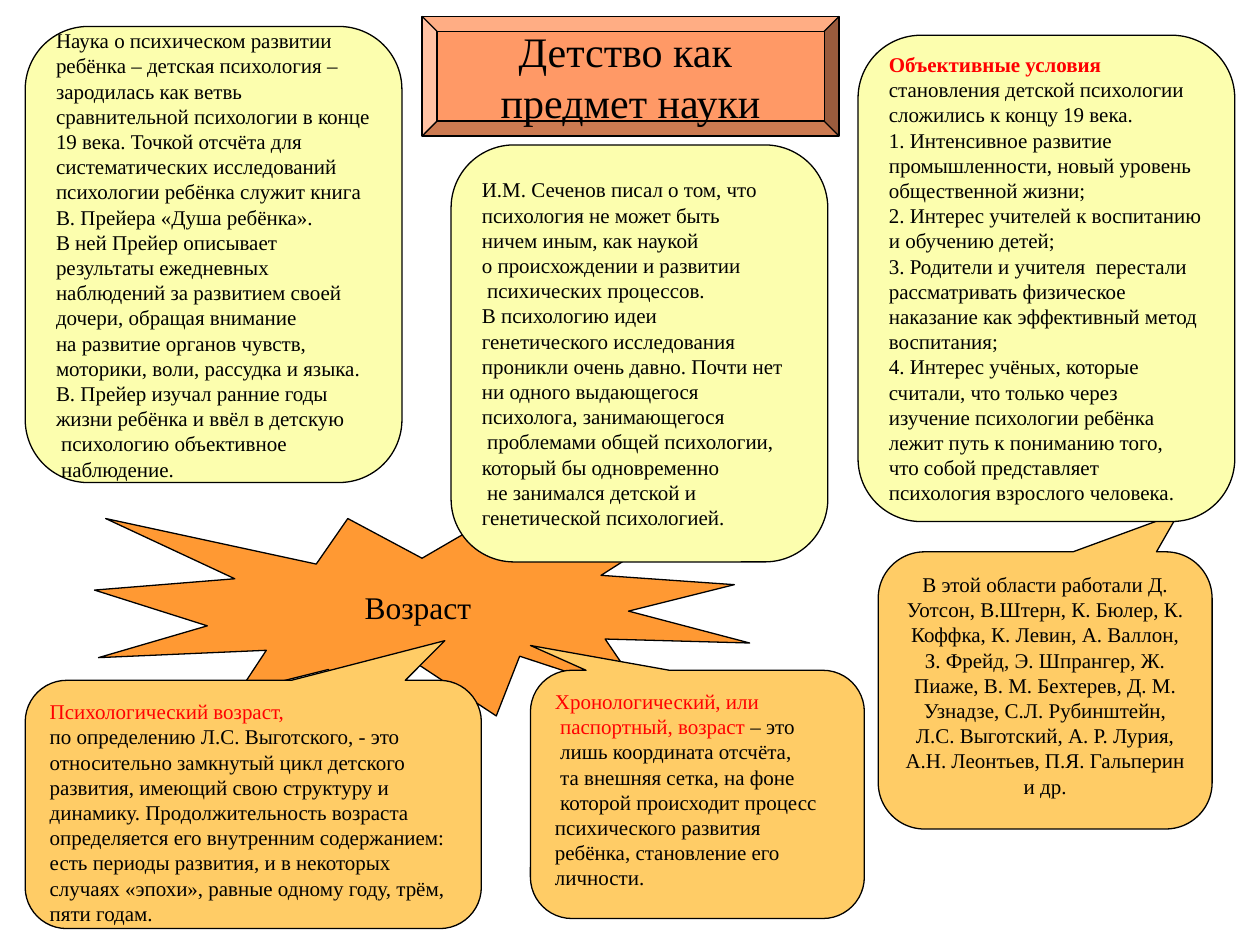
from pptx import Presentation
from pptx.dml.color import RGBColor
from pptx.enum.shapes import MSO_SHAPE as Shape
from pptx.enum.text import MSO_ANCHOR as Anchor, PP_ALIGN as Align
from pptx.util import Inches, Pt

FONT = "Times New Roman"
BLACK, RED = "000000", "FF0000"
YELLOW, AMBER, ORANGE, SALMON = "FCFEAE", "FFCC66", "FF9933", "FF9966"
CORNER = 0.167

SECHENOV = """И.М. Сеченов писал о том, что
психология не может быть
ничем иным, как наукой
о происхождении и развитии
 психических процессов.
В психологию идеи
генетического исследования
проникли очень давно. Почти нет
ни одного выдающегося
психолога, занимающегося
 проблемами общей психологии,
который бы одновременно
 не занимался детской и
генетической психологией."""

PREYER = """Наука о психическом развитии
ребёнка – детская психология –
зародилась как ветвь
сравнительной психологии в конце
19 века. Точкой отсчёта для
систематических исследований
психологии ребёнка служит книга
В. Прейера «Душа ребёнка».
В ней Прейер описывает
результаты ежедневных
наблюдений за развитием своей
дочери, обращая внимание
на развитие органов чувств,
моторики, воли, рассудка и языка.
В. Прейер изучал ранние годы
жизни ребёнка и ввёл в детскую
 психологию объективное
 наблюдение."""

CONDITIONS = """Объективные условия
становления детской психологии
сложились к концу 19 века.
1. Интенсивное развитие
промышленности, новый уровень
общественной жизни;
2. Интерес учителей к воспитанию
и обучению детей;
3. Родители и учителя  перестали
рассматривать физическое
наказание как эффективный метод
воспитания;
4. Интерес учёных, которые
считали, что только через
изучение психологии ребёнка
лежит путь к пониманию того,
что собой представляет
психология взрослого человека."""

SCHOLARS = (
    "В этой области работали Д. Уотсон, В.Штерн, К. Бюлер, К. Коффка, К. Левин, "
    "А. Валлон, З. Фрейд, Э. Шпрангер, Ж. Пиаже, В. М. Бехтерев, Д. М. Узнадзе, "
    "С.Л. Рубинштейн, Л.С. Выготский, А. Р. Лурия, А.Н. Леонтьев, П.Я. Гальперин и др."
)

CHRONOLOGICAL = """Хронологический, или
 паспортный, возраст – это
 лишь координата отсчёта,
 та внешняя сетка, на фоне
 которой происходит процесс
психического развития ребёнка, становление его личности."""

PSYCHOLOGICAL = (
    "Психологический возраст,\n"
    "по определению Л.С. Выготского, - это относительно замкнутый цикл детского развития, "
    "имеющий свою структуру и динамику. Продолжительность возраста определяется его "
    "внутренним содержанием: есть периоды развития, и в некоторых случаях «эпохи», "
    "равные одному году, трём, пяти годам."
)


def color(value):
    """Turn a hex string into a colour."""
    return RGBColor.from_string(value)


def add_box(slide, kind, box, fill, adjustments=()):
    """Add a filled, thinly outlined preset shape in the given box."""
    shape = slide.shapes.add_shape(kind, *map(Inches, box))
    for index, value in enumerate(adjustments):
        shape.adjustments[index] = value
    shape.shadow.inherit = False
    shape.fill.solid()
    shape.fill.fore_color.rgb = color(fill)
    shape.line.color.rgb = color(BLACK)
    shape.line.width = Pt(0.75)
    return shape


def write(shape, text, size=12, align=Align.LEFT, anchor=Anchor.MIDDLE, wrap=False,
          red=(), bold=False):
    """Write one paragraph per line, colouring the leading phrases listed in red."""
    frame = shape.text_frame
    frame.word_wrap = wrap
    frame.vertical_anchor = anchor
    for index, line in enumerate(text.split("\n")):
        paragraph = frame.add_paragraph() if index else frame.paragraphs[0]
        paragraph.alignment = align
        paragraph.font.name = FONT
        paragraph.font.size = Pt(size)
        paragraph.font.color.rgb = color(BLACK)
        phrase = next((phrase for phrase in red if line.startswith(phrase)), "")
        if phrase:
            run = paragraph.add_run()
            run.text = phrase
            run.font.color.rgb = color(RED)
            run.font.bold = bold
        if line[len(phrase):]:
            paragraph.add_run().text = line[len(phrase):]


def add_age_burst(slide, box):
    """Add the star burst that names the age topic."""
    shape = add_box(slide, Shape.EXPLOSION1, box, ORANGE)
    write(shape, "Возраст", size=18, align=Align.CENTER)


def add_title(slide, box):
    """Add the bevelled title plate."""
    shape = add_box(slide, Shape.BEVEL, box, SALMON, [0.125])
    write(shape, "Детство как \nпредмет науки", size=24, align=Align.CENTER)


def add_callout(slide, box, tip, text, **style):
    """Add a rounded callout whose tip is offset from the centre by shares of the box."""
    shape = add_box(slide, Shape.ROUNDED_RECTANGULAR_CALLOUT, box, AMBER, [*tip, CORNER])
    write(shape, text, anchor=Anchor.TOP, wrap=True, **style)


def add_panel(slide, box, text, **style):
    """Add a yellow rounded text panel."""
    shape = add_box(slide, Shape.ROUNDED_RECTANGLE, box, YELLOW, [CORNER])
    write(shape, text, **style)


def main():
    """Build the slide and save it."""
    presentation = Presentation()
    presentation.slide_width, presentation.slide_height = Inches(10), Inches(7.5)
    slide = presentation.slides.add_slide(presentation.slide_layouts[6])
    add_age_burst(slide, (0.75, 3.91, 5.2, 1.94))
    add_title(slide, (3.35, 0.13, 3.31, 0.95))
    add_callout(slide, (6.97, 4.38, 2.65, 2.2), (0.4, -0.64), SCHOLARS, align=Align.CENTER)
    add_callout(slide, (4.21, 5.32, 2.65, 1.97), (-0.5, -0.6), CHRONOLOGICAL,
                red=("Хронологический, или", " паспортный, возраст"))
    add_callout(slide, (0.2, 5.4, 3.62, 1.97), (0.42, -0.66), PSYCHOLOGICAL,
                red=("Психологический возраст,",))
    add_panel(slide, (3.58, 1.15, 2.99, 3.31), SECHENOV)
    add_panel(slide, (0.2, 0.21, 2.99, 3.62), PREYER)
    add_panel(slide, (6.81, 0.28, 2.99, 3.86), CONDITIONS,
              red=("Объективные условия",), bold=True)
    presentation.save("out.pptx")


if __name__ == "__main__":
    main()
